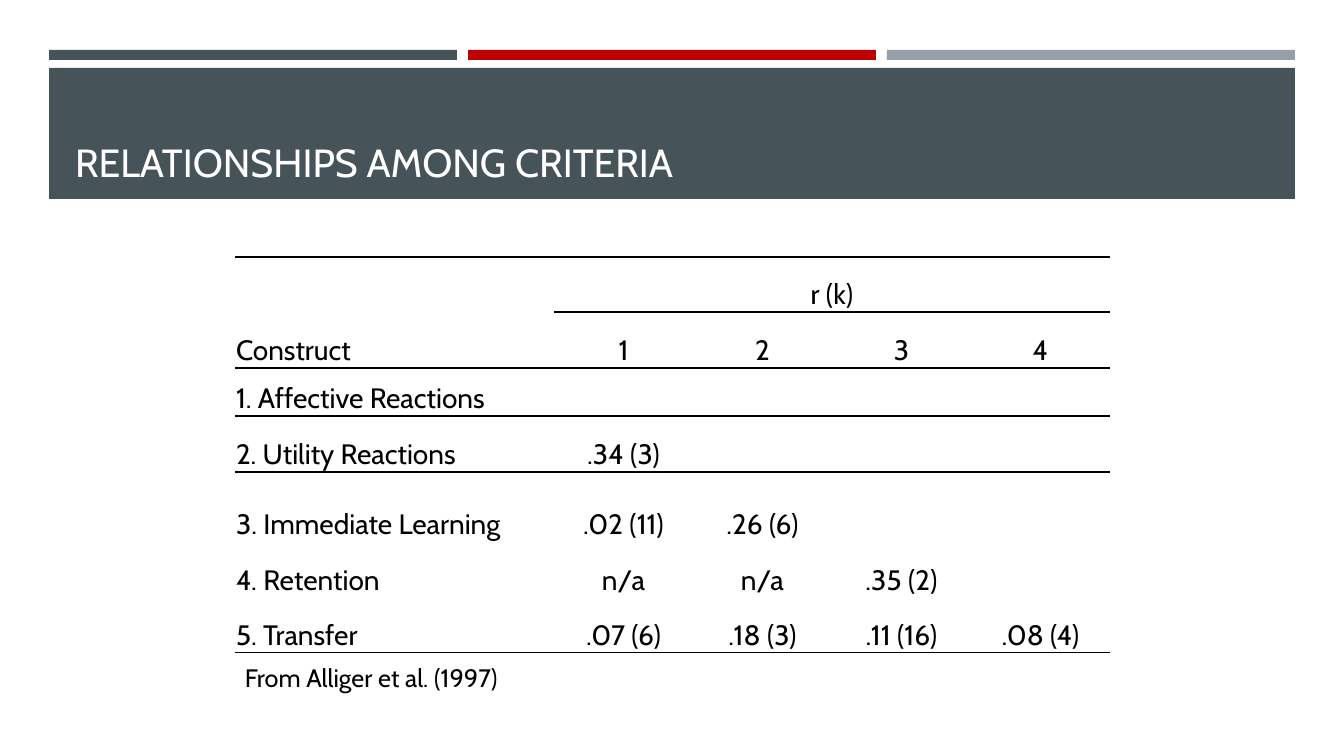
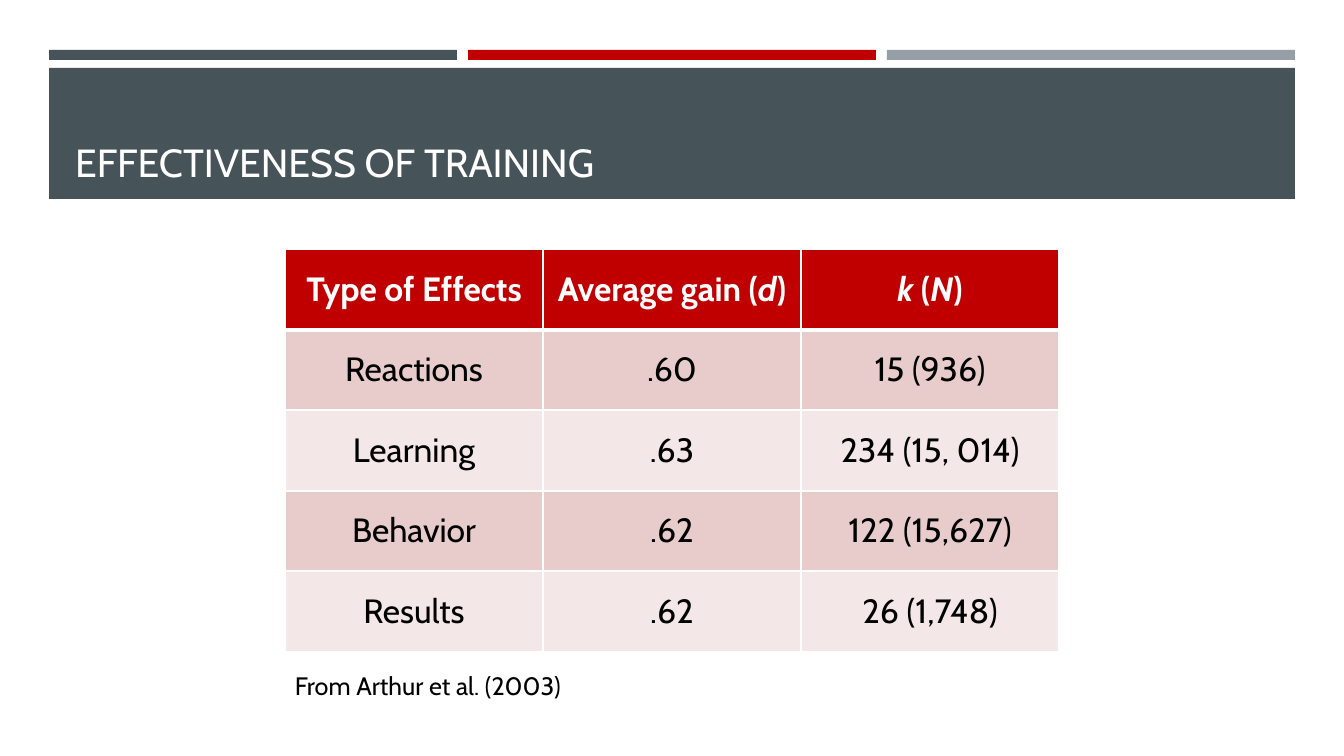
import dataclasses
import typing

import pptx
import pptx.dml.color
import pptx.enum.shapes
import pptx.enum.text
import pptx.oxml
import pptx.oxml.ns
import pptx.util

PX = 914400 / 100.8
FONT = "Cabin"
SLATE, RED, GREY = "465359", "C00000", "969FA7"
WHITE, BLACK = "FFFFFF", "000000"
ROSE, BLUSH = "E8CCCC", "F4E7E7"
PLAIN = "{2D5ABB26-0587-4C30-8999-92F81FD0307C}"
ALIGN = pptx.enum.text.PP_ALIGN
ANCHOR = pptx.enum.text.MSO_ANCHOR


@dataclasses.dataclass(frozen=True)
class Box:
    left: int
    top: int
    width: int
    height: int

    def emu(self) -> list[int]:
        return [px(n) for n in dataclasses.astuple(self)]


@dataclasses.dataclass(frozen=True)
class Band:
    box: Box
    fill: str


BANDS = [Band(Box(49 + 419 * i, 50, 408, 10), fill)
         for i, fill in enumerate((SLATE, RED, GREY))]
BANDS.append(Band(Box(49, 68, 1246, 131), SLATE))
TITLE = Box(65, 78, 1215, 112)


def px(n: int) -> int:
    return pptx.util.Emu(round(n * PX))


def rgb(code: str) -> pptx.dml.color.RGBColor:
    return pptx.dml.color.RGBColor.from_string(code)


def write(frame: typing.Any, text: str, *, size: int, color: str = BLACK,
          bold: bool = False, align: typing.Any = ALIGN.LEFT) -> None:
    """Fill a text frame; parts between asterisks are italic."""
    para = frame.paragraphs[0]
    para.alignment = align
    for i, part in enumerate(text.split("*")):
        if part:
            run = para.add_run()
            run.text = part
            font = run.font
            font.name, font.size = FONT, pptx.util.Pt(size)
            font.bold, font.italic = bold, i % 2 == 1
            font.color.rgb = rgb(color)


def dress(layout: typing.Any, slide: typing.Any) -> None:
    """Draw the bands on a slide, then move them to the back of its layout."""
    for i, band in enumerate(BANDS):
        shape = slide.shapes.add_shape(
            pptx.enum.shapes.MSO_SHAPE.RECTANGLE, *band.box.emu())
        shape.shadow.inherit = False
        shape.fill.solid()
        shape.fill.fore_color.rgb = rgb(band.fill)
        shape.line.fill.background()
        layout.shapes.element.insert(2 + i, shape.element)


def head(slide: typing.Any, text: str) -> None:
    title = slide.shapes.title
    title.left, title.top, title.width, title.height = TITLE.emu()
    frame = title.text_frame
    frame.word_wrap = True
    frame.vertical_anchor = ANCHOR.BOTTOM
    write(frame, text, size=28, color=WHITE)


def note(slide: typing.Any, left: int, top: int, text: str) -> None:
    frame = slide.shapes.add_textbox(*Box(left, top, 680, 40).emu()).text_frame
    frame.word_wrap = True
    write(frame, text, size=18)


def grid(slide: typing.Any, left: int, top: int, cols: list[int],
         rows: list[int]) -> typing.Any:
    """Add a table without style, sized by its columns and rows."""
    box = Box(left, top, sum(cols), sum(rows))
    table = slide.shapes.add_table(len(rows), len(cols), *box.emu()).table
    table.first_row = table.horz_banding = False
    style = table._tbl.tblPr.find(pptx.oxml.ns.qn("a:tableStyleId"))
    style.text = PLAIN
    for col, width in zip(table.columns, cols):
        col.width = px(width)
    for row, height in zip(table.rows, rows):
        row.height = px(height)
    return table


def edge(cell: typing.Any, color: str, **sides: int) -> None:
    """Set cell borders; sides L, R, T and B hold widths in points."""
    props = cell._tc.get_or_add_tcPr()
    names = [side for side in "LRTB" if side in sides]
    for i, side in enumerate(names):
        props.insert(i, pptx.oxml.parse_xml(
            f'<a:ln{side} {pptx.oxml.ns.nsdecls("a")}'
            f' w="{pptx.util.Pt(sides[side])}"><a:solidFill>'
            f'<a:srgbClr val="{color}"/></a:solidFill></a:ln{side}>'))


def relate(slide: typing.Any) -> None:
    head(slide, "RELATIONSHIPS AMONG CRITERIA")
    data = [
        ["", "r (k)"],
        ["Construct", "1", "2", "3", "4"],
        ["1. Affective Reactions"],
        ["2. Utility Reactions", ".34 (3)"],
        ["3. Immediate Learning", ".02 (11)", ".26 (6)"],
        ["4. Retention", "n/a", "n/a", ".35 (2)"],
        ["5. Transfer", ".07 (6)", ".18 (3)", ".11 (16)", ".08 (4)"],
    ]
    table = grid(slide, 235, 257, [319] + [139] * 4,
                 [55, 56, 48, 56, 70, 56, 55])
    table.cell(0, 1).merge(table.cell(0, 4))
    ruled = {1, 2, 6}
    for r, texts in enumerate(data):
        for c in range(5):
            cell = table.cell(r, c)
            cell.margin_left = cell.margin_right = cell.margin_top = px(1)
            cell.margin_bottom = 0
            cell.vertical_anchor = ANCHOR.BOTTOM
            cell.fill.background()
            if c < len(texts):
                write(cell.text_frame, texts[c], size=20,
                      align=ALIGN.CENTER if c else ALIGN.LEFT)
            sides = {}
            if r == 0 or r - 1 in ruled or (r == 1 and c):
                sides["T"] = 1
            if r in ruled or (r == 0 and c):
                sides["B"] = 1
            edge(cell, BLACK, **sides)
    note(slide, 235, 657, "From Alliger et al. (1997)")


def effect(slide: typing.Any) -> None:
    head(slide, "EFFECTIVENESS OF TRAINING")
    data = [
        ["Type of Effects", "Average gain (*d*)", "*k *(*N*)"],
        ["Reactions", ".60", "15 (936)"],
        ["Learning", ".63", "234 (15, 014)"],
        ["Behavior", ".62", "122 (15,627)"],
        ["Results", ".62", "26 (1,748)"],
    ]
    table = grid(slide, 285, 249, [258] * 3, [81, 80, 81, 80, 81])
    for r, texts in enumerate(data):
        top = r == 0
        fill = RED if top else (BLUSH, ROSE)[r % 2]
        for c, text in enumerate(texts):
            cell = table.cell(r, c)
            cell.vertical_anchor = ANCHOR.MIDDLE
            cell.fill.solid()
            cell.fill.fore_color.rgb = rgb(fill)
            write(cell.text_frame, text, size=24, bold=top,
                  color=WHITE if top else BLACK, align=ALIGN.CENTER)
            edge(cell, WHITE, L=1, R=1, T=3 if r == 1 else 1,
                 B=3 if top else 1)
    note(slide, 285, 665, "From Arthur et al. (2003)")


def main() -> None:
    deck = pptx.Presentation()
    deck.slide_width, deck.slide_height = px(1344), px(756)
    layout = deck.slide_layouts.get_by_name("Title Only")
    first, second = (deck.slides.add_slide(layout) for _ in range(2))
    dress(layout, first)
    relate(first)
    effect(second)
    deck.save("out.pptx")


if __name__ == "__main__":
    main()
